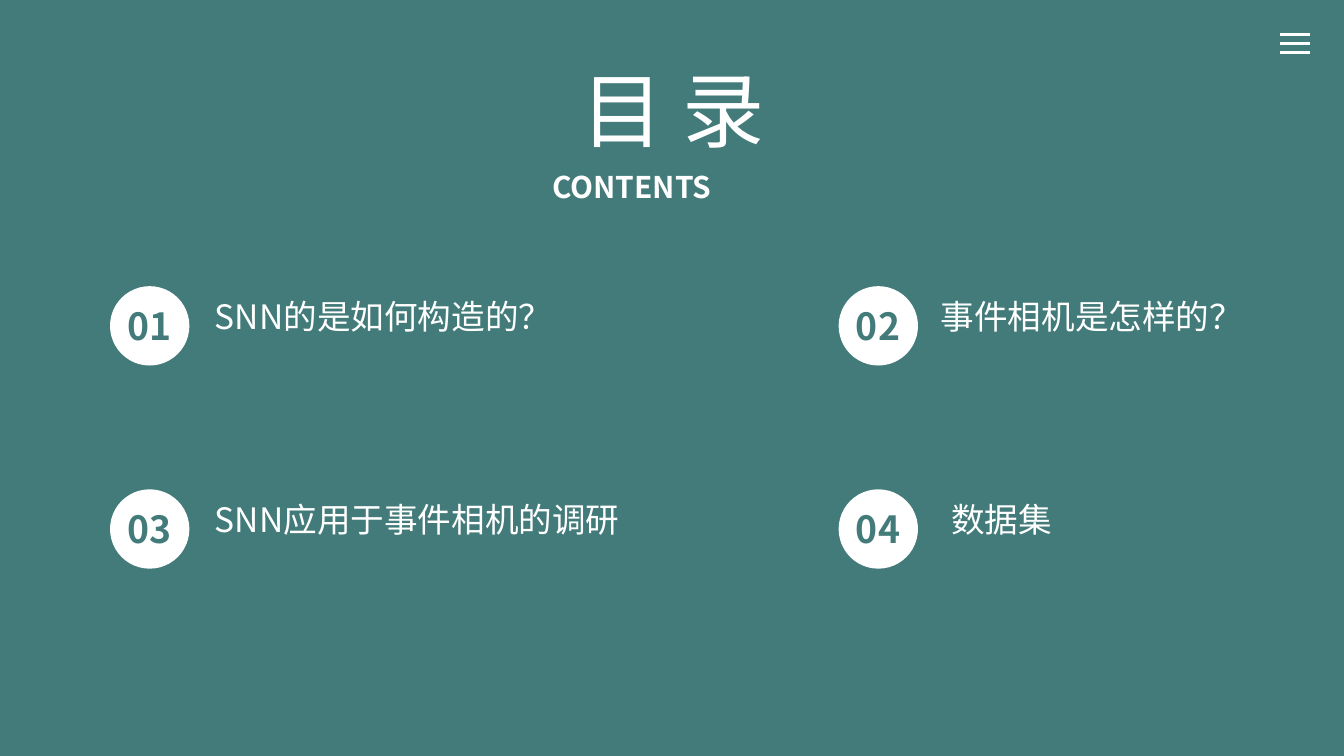
from dataclasses import dataclass

from lxml.etree import SubElement
from pptx import Presentation
from pptx.dml.color import RGBColor
from pptx.enum.shapes import MSO_CONNECTOR, MSO_SHAPE
from pptx.enum.text import MSO_AUTO_SIZE, PP_ALIGN
from pptx.oxml.ns import qn
from pptx.util import Cm, Pt


@dataclass(frozen=True)
class Theme:
    font: str = "Noto Sans CJK SC"
    teal: RGBColor = RGBColor(0x43, 0x7B, 0x7A)
    white: RGBColor = RGBColor(0xFF, 0xFF, 0xFF)
    title: int = 44
    subtitle: int = 16
    number: int = 20
    label: int = 18
    rule: float = 1.5


class SlideBuilder:
    def __init__(self, slide, theme):
        self.slide = slide
        self.theme = theme

    def background(self):
        fill = self.slide.background.fill
        fill.solid()
        fill.fore_color.rgb = self.theme.teal

    def line(self, left, top, width):
        line = self.slide.shapes.add_connector(
            MSO_CONNECTOR.STRAIGHT, Cm(left), Cm(top), Cm(left + width), Cm(top))
        line.line.color.rgb = self.theme.white
        line.line.width = Pt(self.theme.rule)
        SubElement(line.element.spPr, qn("a:effectLst"))

    def circle(self, left, top, size):
        circle = self.slide.shapes.add_shape(
            MSO_SHAPE.OVAL, Cm(left), Cm(top), Cm(size), Cm(size))
        circle.shadow.inherit = False
        circle.fill.solid()
        circle.fill.fore_color.rgb = self.theme.white
        circle.line.fill.background()

    def text(self, text, left, top, width, height, *, size, color=None,
             bold=False, align=PP_ALIGN.LEFT, wrap=True):
        box = self.slide.shapes.add_textbox(
            Cm(left), Cm(top), Cm(width), Cm(height))
        frame = box.text_frame
        frame.word_wrap = wrap
        frame.auto_size = MSO_AUTO_SIZE.SHAPE_TO_FIT_TEXT
        para = frame.paragraphs[0]
        para.alignment = align
        span = para.add_run()
        span.text = text
        font = span.font
        font.size = Pt(size)
        font.bold = bold
        font.color.rgb = color or self.theme.white
        font.name = self.theme.font
        # Chinese characters take the East Asian typeface
        SubElement(span._r.get_or_add_rPr(), qn("a:ea"), typeface=self.theme.font)

    def menu_icon(self, left, top, width, gap):
        for row in range(3):
            self.line(left, top + row * gap, width)

    def entry(self, number, label, left, top, *, indent, width):
        """Numbered circle with its chapter name on the right."""
        self.text(label, left + indent, top + 0.05, width, 1.02,
                  size=self.theme.label)
        self.circle(left, top, 1.5)
        self.text(f"{number:02}", left - 0.18, top + 0.2, 1.85, 1.12,
                  size=self.theme.number, color=self.theme.teal,
                  bold=True, align=PP_ALIGN.CENTER)


ENTRIES = [  # label, indent, width
    ("SNN的是如何构造的？", 1.73, 7.21),
    ("事件相机是怎样的？", 1.68, 5.69),
    ("SNN应用于事件相机的调研", 1.73, 8.59),
    ("数据集", 1.88, 5.11),
]


def main():
    deck = Presentation()
    deck.slide_width, deck.slide_height = Cm(25.4), Cm(14.29)
    theme = Theme()
    page = SlideBuilder(deck.slides.add_slide(deck.slide_layouts[6]), theme)

    page.background()
    page.menu_icon(24.19, 0.65, 0.57, 0.17)
    for index, (label, indent, width) in enumerate(ENTRIES):
        row, column = divmod(index, 2)
        page.entry(index + 1, label, 2.08 + column * 13.77, 5.41 + row * 3.84,
                   indent=indent, width=width)
    page.text("目 录", 10.65, 0.99, 4.14, 2.13, size=theme.title,
              align=PP_ALIGN.CENTER, wrap=False)
    page.text("CONTENTS", 10.19, 3.07, 5.03, 0.94, size=theme.subtitle,
              bold=True, align=PP_ALIGN.JUSTIFY)
    deck.save("out.pptx")


if __name__ == "__main__":
    main()
